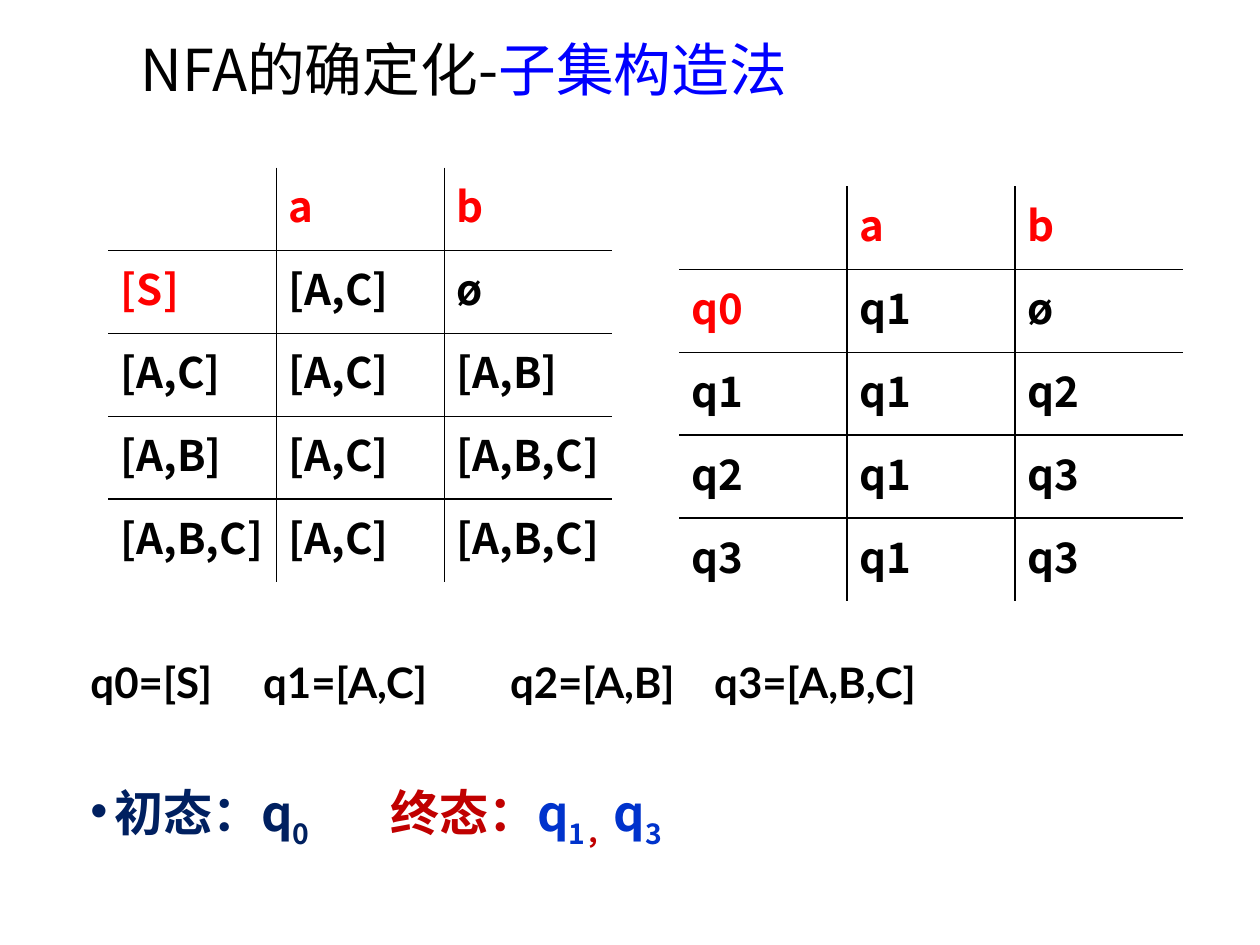
"""Build a slide that shows the subset construction for an NFA."""
from pptx import Presentation
from pptx.dml.color import RGBColor
from pptx.enum.text import MSO_ANCHOR
from pptx.oxml.ns import qn
from pptx.util import Emu, Inches, Pt
from lxml.etree import SubElement

SANS, TITLE_FONT, LATO = "Noto Sans CJK KR", "Noto Sans CJK JP", "Lato"
BLACK, RED, BLUE = "000000", "FF0000", "0000FF"
NAVY, CRIMSON, ROYAL = "002060", "C00000", "0033CC"

TITLE = [("NFA的确定化-", BLACK), ("子集构造法", BLUE)]
NAMES = [("q0=[S]\tq1=[A,C]\tq2=[A,B]\tq3=[A,B,C]", BLACK)]
STATES = [
    ("初态：q", NAVY), ("0", NAVY, True), ("\t", NAVY), ("终态：", CRIMSON),
    ("q", ROYAL), ("1", ROYAL, True), ("，", CRIMSON, True),
    ("q", ROYAL), ("3", ROYAL, True),
]
TABLES = [
    (0.86, 1.33, [
        ("", "a", "b"),
        ("[S]", "[A,C]", "ø"),
        ("[A,C]", "[A,C]", "[A,B]"),
        ("[A,B]", "[A,C]", "[A,B,C]"),
        ("[A,B,C]", "[A,C]", "[A,B,C]"),
    ]),
    (5.39, 1.48, [
        ("", "a", "b"),
        ("q0", "q1", "ø"),
        ("q1", "q1", "q2"),
        ("q2", "q1", "q3"),
        ("q3", "q1", "q3"),
    ]),
]
TABLE_SIZE = (4, 3.29)


def color(value):
    return RGBColor.from_string(value)


def add_span(para, text, fill=BLACK, lowered=False, size=24, font=SANS, bold=True):
    span = para.add_run()
    span.text = text
    span.font.size, span.font.bold, span.font.name = Pt(size), bold, font
    span.font.color.rgb = color(fill)
    properties = span.font._element
    SubElement(properties, qn("a:ea"), typeface=font)
    if lowered:
        properties.set("baseline", "-25000")


def add_text(page, spans, left, top, width, tabs=(), bullet=False,
             anchor=MSO_ANCHOR.TOP, line_spacing=1.0, **style):
    box = page.shapes.add_textbox(Inches(left), Inches(top), Inches(width), Inches(0.7))
    frame = box.text_frame
    frame.word_wrap, frame.vertical_anchor = True, anchor
    para = frame.paragraphs[0]
    para.line_spacing = line_spacing
    properties = para._p.get_or_add_pPr()
    if bullet:
        indent = Inches(0.19)
        properties.set("marL", str(indent))
        properties.set("indent", str(-indent))
        SubElement(properties, qn("a:buFont"), typeface="Arial")
        SubElement(properties, qn("a:buChar"), char="•")
    if tabs:
        stops = SubElement(properties, qn("a:tabLst"))
        for stop in tabs:
            SubElement(stops, qn("a:tab"), pos=str(Inches(stop)), algn="l")
    for span in spans:
        add_span(para, *span, **style)


def set_borders(cell, **edges):
    properties = cell._tc.get_or_add_tcPr()
    for edge, visible in edges.items():
        line = SubElement(properties, qn(f"a:ln{edge}"), w=str(Pt(1)))
        if visible:
            fill = SubElement(line, qn("a:solidFill"))
            SubElement(fill, qn("a:srgbClr"), val=BLACK)
        else:
            SubElement(line, qn("a:noFill"))


def add_grid(page, left, top, rows):
    width, height = map(Inches, TABLE_SIZE)
    last_row, last_column = len(rows) - 1, len(rows[0]) - 1
    table = page.shapes.add_table(
        len(rows), len(rows[0]), Inches(left), Inches(top), width, height).table
    table.first_row = table.horz_banding = False
    for column in table.columns:
        column.width = Emu(width // len(rows[0]))
    for r, row in enumerate(rows):
        table.rows[r].height = Emu(height // len(rows))
        for c, text in enumerate(row):
            cell = table.cell(r, c)
            set_borders(cell, L=c > 0, R=c < last_column, T=r > 0, B=r < last_row)
            cell.fill.background()
            if text:
                heading = r == 0 or (r, c) == (1, 0)
                add_span(cell.text_frame.paragraphs[0], text, RED if heading else BLACK)


def main():
    deck = Presentation()
    deck.slide_width, deck.slide_height = Inches(10), Inches(7.5)
    page = deck.slides.add_slide(deck.slide_layouts[6])
    add_text(page, TITLE, 1.02, 0.23, 8.52, anchor=MSO_ANCHOR.MIDDLE,
             line_spacing=0.9, size=33, font=TITLE_FONT, bold=False)
    for left, top, rows in TABLES:
        add_grid(page, left, top, rows)
    add_text(page, NAMES, 0.62, 5.16, 9, tabs=(1.37, 3.33, 4.95), font=LATO)
    add_text(page, STATES, 0.62, 6.17, 9, tabs=(2.38,), bullet=True,
             line_spacing=0.9, size=28)
    deck.save("out.pptx")


if __name__ == "__main__":
    main()
